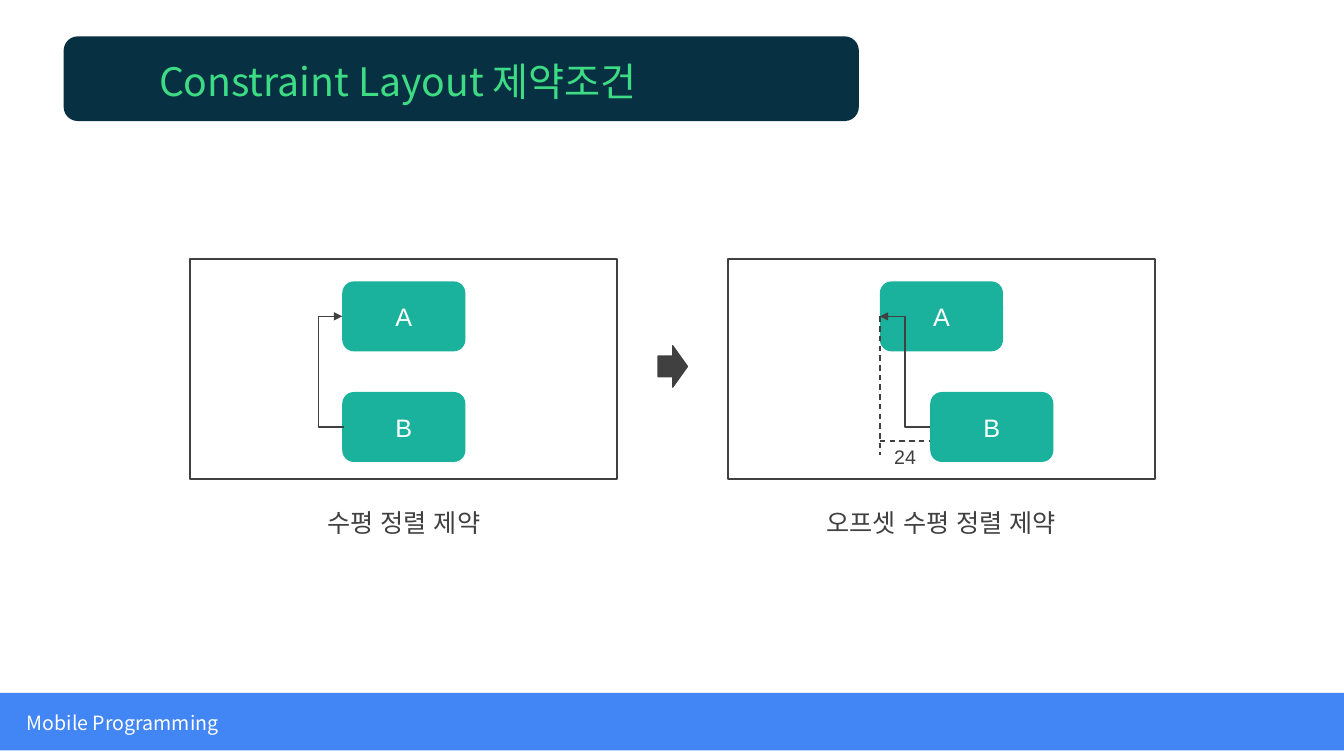
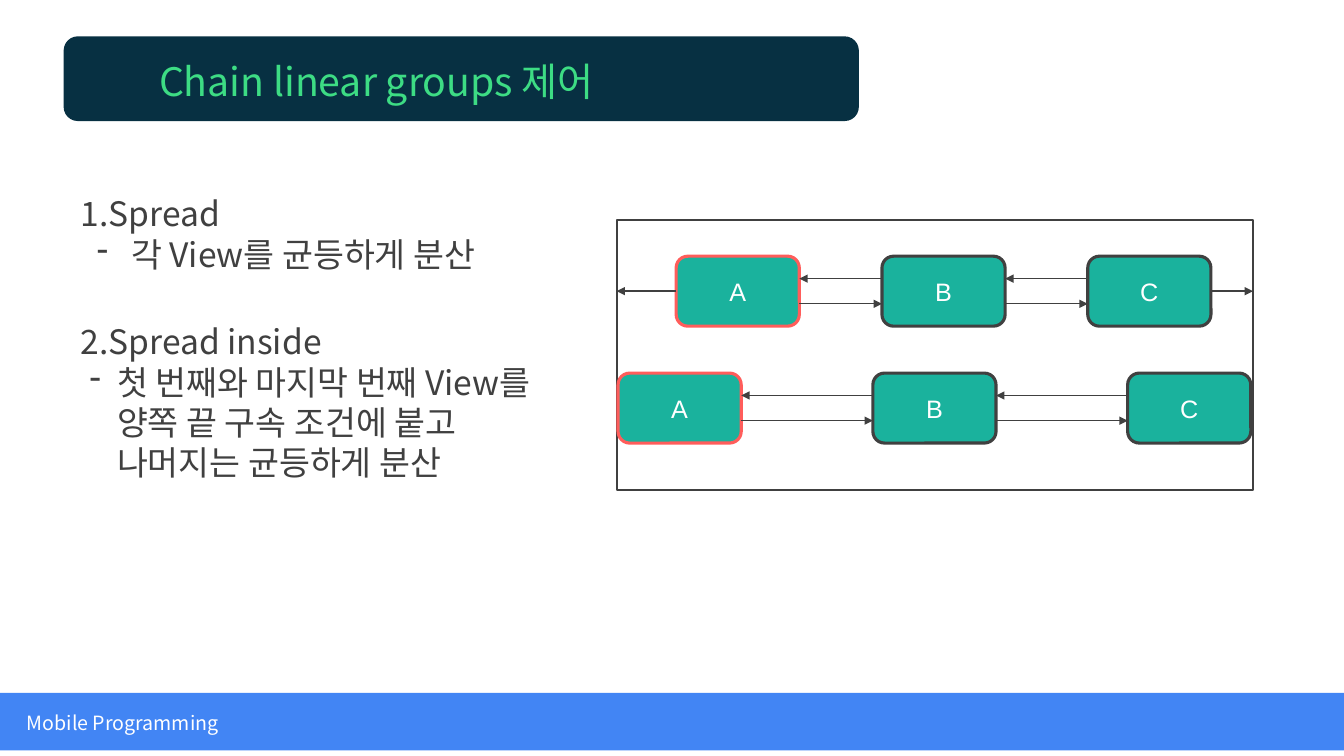
from lxml.etree import SubElement
from pptx import Presentation
from pptx.dml.color import RGBColor
from pptx.enum.dml import MSO_LINE
from pptx.enum.shapes import MSO_CONNECTOR, MSO_SHAPE
from pptx.enum.text import MSO_ANCHOR, PP_ALIGN
from pptx.oxml.ns import qn
from pptx.util import Pt

COLORS = {
    "ink": "404040",
    "white": "FFFFFF",
    "node": "1AB29D",
    "chain_head": "FF5D5B",
    "title_bar": "073042",
    "title": "3DDC84",
    "footer": "4285F4",
}
HEADING_FONT = "Noto Sans CJK KR"
BODY_FONT = "Arial"
SLIDE_W, SLIDE_H = 960, 540
NODE_W, NODE_H = 88, 50


def color(name):
    return RGBColor.from_string(COLORS[name])


def style_para(para, size, ink="ink", font=BODY_FONT, align=None):
    para.font.size = Pt(size)
    para.font.color.rgb = color(ink)
    para.font.name = font
    para.alignment = align
    defaults = para._p.pPr.find(qn("a:defRPr"))
    SubElement(defaults, qn("a:ea"), typeface=font)


def add_box(page, kind, left, top, width, height, fill=None, line=None, weight=1):
    box = page.shapes.add_shape(kind, Pt(left), Pt(top), Pt(width), Pt(height))
    box.shadow.inherit = False
    if fill:
        box.fill.solid()
        box.fill.fore_color.rgb = color(fill)
    else:
        box.fill.background()
    if line:
        box.line.color.rgb = color(line)
        box.line.width = Pt(weight)
    else:
        box.line.fill.background()
    return box


def add_text(page, left, top, width, height, lines, size, **style):
    box = page.shapes.add_textbox(Pt(left), Pt(top), Pt(width), Pt(height))
    frame = box.text_frame
    frame.word_wrap = True
    frame.text = "\n".join(lines)
    for para in frame.paragraphs:
        style_para(para, size, **style)
    return frame


def add_node(page, label, left, top, line=None):
    node = add_box(page, MSO_SHAPE.ROUNDED_RECTANGLE, left, top, NODE_W, NODE_H,
                   "node", line, 2.25)
    node.text_frame.text = label
    node.text_frame.vertical_anchor = MSO_ANCHOR.MIDDLE
    style_para(node.text_frame.paragraphs[0], 18, "white", align=PP_ALIGN.CENTER)
    return node


def add_panel(page, left, top, width, height):
    add_box(page, MSO_SHAPE.RECTANGLE, left, top, width, height, line="ink", weight=1.5)


def add_line(page, start, end, kind=MSO_CONNECTOR.STRAIGHT, arrow=True):
    """Draw an arrow, or a dashed guide when arrow is False."""
    line = page.shapes.add_connector(kind, *map(Pt, start + end))
    line.line.color.rgb = color("ink")
    line.line.width = Pt(1)
    if arrow:
        SubElement(line.line._get_or_add_ln(), qn("a:tailEnd"), type="triangle")
    else:
        line.line.dash_style = MSO_LINE.DASH
    SubElement(line._element.spPr, qn("a:effectLst"))
    return line


def add_elbow(page, start, end, detour):
    """Run left from start by detour, then up, then across to end."""
    elbow = add_line(page, start, end, MSO_CONNECTOR.ELBOW)
    ratio = round(detour / (start[0] - end[0]) * 100000)
    guides = elbow._element.spPr.find(qn("a:prstGeom")).get_or_add_avLst()
    SubElement(guides, qn("a:gd"), name="adj1", fmla=f"val {ratio}")


def add_bullet(para, dash_left, text_left):
    props = para._p.get_or_add_pPr()
    props.set("marL", str(Pt(text_left)))
    props.set("indent", str(Pt(dash_left - text_left)))
    bullet = props.makeelement(qn("a:buChar"), {"char": "-"})
    props.insert(0, bullet)


def add_page(deck, title):
    page = deck.slides.add_slide(deck.slide_layouts[6])
    add_box(page, MSO_SHAPE.ROUNDED_RECTANGLE, 45.5, 26, 568, 60.5, "title_bar")
    add_text(page, 106.5, 37.5, 480, 41, [title], 28, ink="title", font=HEADING_FONT)
    add_box(page, MSO_SHAPE.RECTANGLE, 0, 495, SLIDE_W, 41, "footer")
    add_text(page, 12, 504, 220, 24.5, ["Mobile Programming"], 14,
             ink="white", font=HEADING_FONT)
    return page


def add_alignment(page, left, caption, offset, elbow_start, detour):
    """Panel with B aligned to A, or shifted right of it by offset."""
    top, width = 185, 305
    a_left, a_top, b_top = left + (width - NODE_W) / 2, top + 16, top + 95
    add_panel(page, left, top, width, 157)
    add_node(page, "A", a_left, a_top)
    add_node(page, "B", a_left + offset, b_top)
    a_middle, b_middle = a_top + NODE_H / 2, b_top + NODE_H / 2
    add_elbow(page, (a_left + elbow_start, b_middle), (a_left, a_middle), detour)
    add_text(page, left, 359, width, 29, [caption], 18, align=PP_ALIGN.CENTER)
    if offset:
        guide_y = b_middle + 10
        add_line(page, (a_left, a_middle), (a_left, guide_y + 10), arrow=False)
        add_line(page, (a_left, guide_y), (a_left + offset, guide_y), arrow=False)
        add_text(page, a_left, guide_y - 1, offset, 24.5, ["24"], 14,
                 align=PP_ALIGN.CENTER)


def add_chain(page, left, top, pitch):
    """Three nodes, each pair joined by arrows both ways; returns the nodes."""
    nodes = []
    for index, label in enumerate("ABC"):
        node_left = left + index * pitch
        nodes.append(add_node(page, label, node_left, top,
                              "ink" if index else "chain_head"))
        if index:
            previous_right = node_left - pitch + NODE_W
            add_line(page, (node_left, top + 16), (previous_right, top + 16))
            add_line(page, (previous_right, top + 34), (node_left, top + 34))
    return nodes


def build_constraints(deck):
    page = add_page(deck, "Constraint Layout 제약조건")
    add_alignment(page, 136, "수평 정렬 제약", 0, 1, 18)
    add_box(page, MSO_SHAPE.RIGHT_ARROW, 470, 247, 21, 29.5, "ink", "ink")
    add_alignment(page, 520, "오프셋 수평 정렬 제약", 36, 36, 18)


def build_chains(deck):
    page = add_page(deck, "Chain linear groups 제어")
    spread = add_text(page, 50.5, 134.5, 367, 65.5,
                      ["1.Spread", "각 View를 균등하게 분산"], 24, font=HEADING_FONT)
    add_bullet(spread.paragraphs[1], 11.5, 36)
    inside = add_text(
        page, 50.5, 226, 367, 124,
        ["2.Spread inside",
         "첫 번째와 마지막 번째 View를\v양쪽 끝 구속 조건에 붙고\v나머지는 균등하게 분산"],
        24, font=HEADING_FONT)
    add_bullet(inside.paragraphs[1], 6.5, 26)

    panel_left, panel_width, row_top = 440.5, 454.5, 183
    add_panel(page, panel_left, 157, panel_width, 193)
    first, _, last = add_chain(page, 483, row_top, 147)
    middle = row_top + NODE_H / 2
    for node, side, edge in ((first, 1, panel_left), (last, 3, panel_left + panel_width)):
        arrow = add_line(page, (node.left.pt, middle), (edge, middle))
        arrow.begin_connect(node, side)
    add_chain(page, 441.5, 266.5, 182)


def main():
    deck = Presentation()
    deck.slide_width, deck.slide_height = Pt(SLIDE_W), Pt(SLIDE_H)
    build_constraints(deck)
    build_chains(deck)
    deck.save("out.pptx")


if __name__ == "__main__":
    main()
